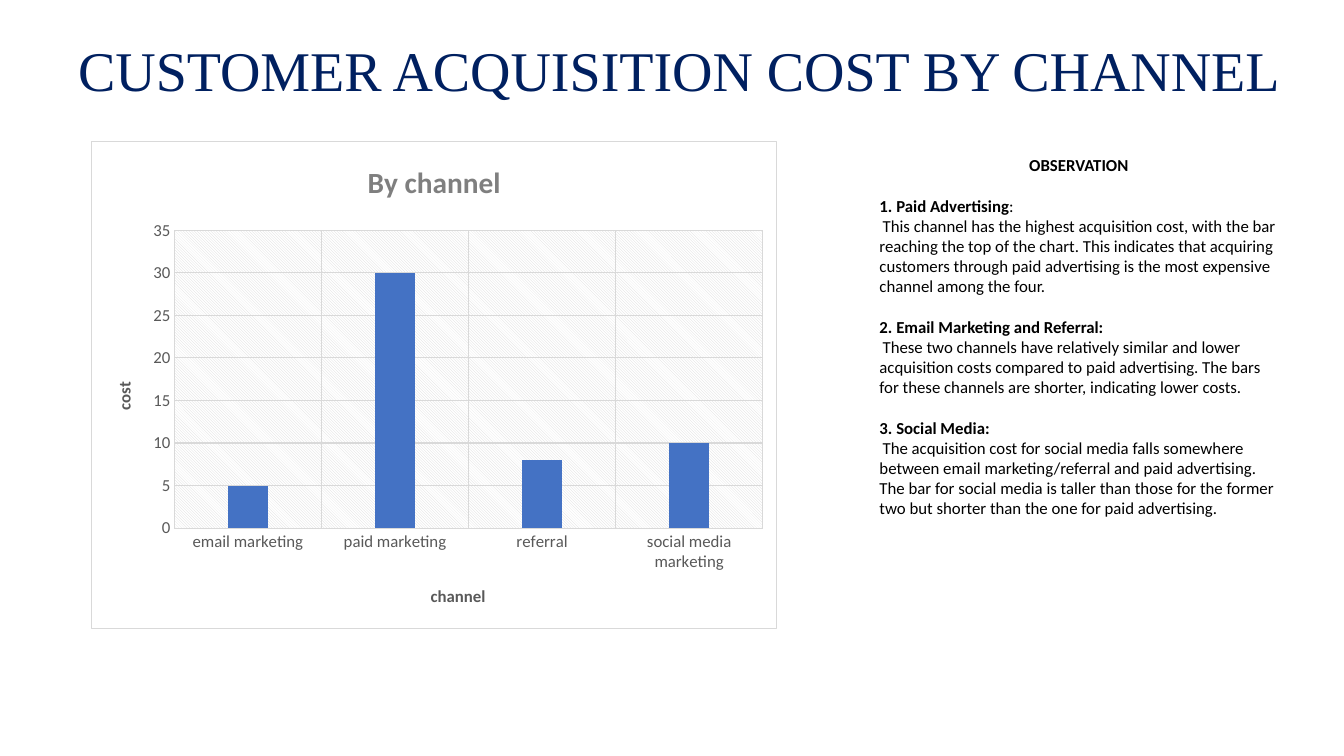
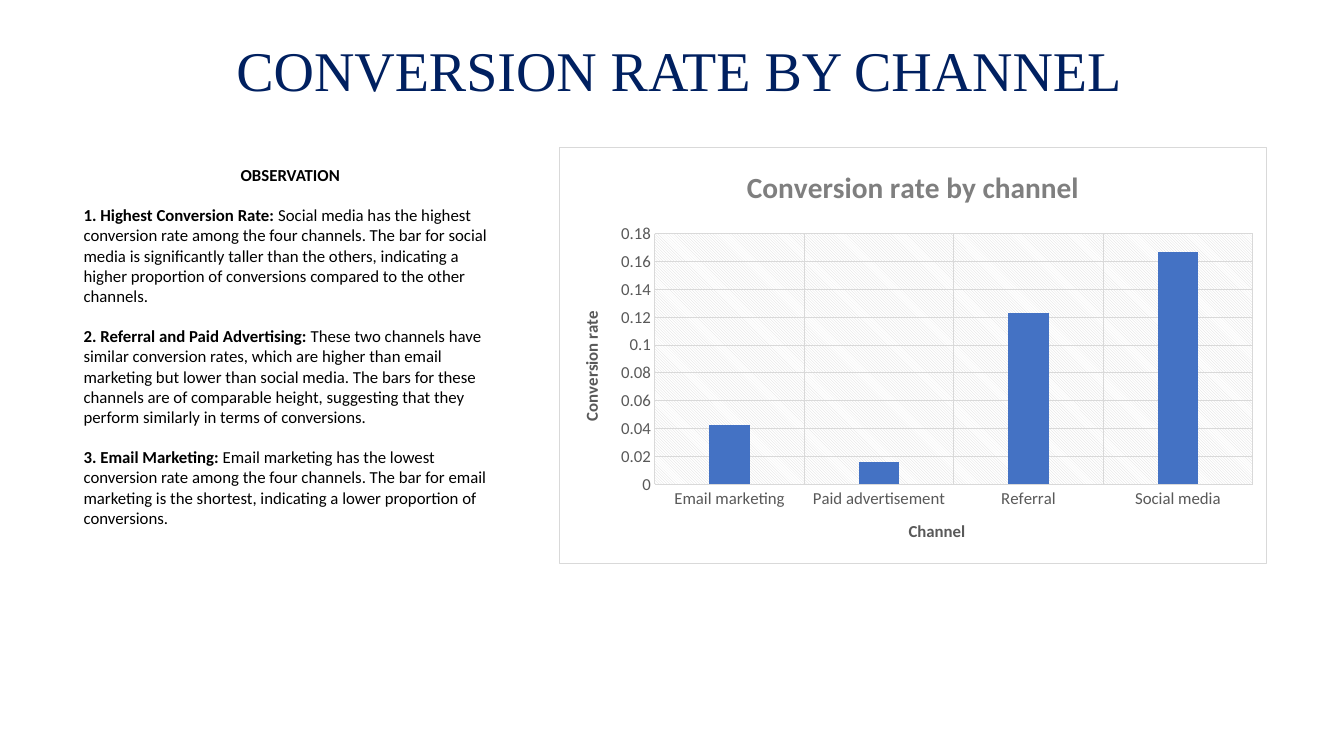
from lxml import etree
from pptx import Presentation
from pptx.chart.data import CategoryChartData
from pptx.dml.color import RGBColor
from pptx.enum.chart import XL_CHART_TYPE as ChartType, XL_TICK_MARK as TickMark
from pptx.enum.text import MSO_ANCHOR as Anchor, MSO_AUTO_SIZE as AutoSize, PP_ALIGN as Align
from pptx.oxml import parse_xml
from pptx.oxml.ns import nsdecls, qn
from pptx.util import Pt

EMU_PER_PX = 9525
NAVY, BLACK, WHITE = "002060", "000000", "FFFFFF"
GRID, LABEL, HEADING, BAR = "D9D9D9", "595959", "7F7F7F", "4472C4"
TITLE_FONT, BODY_FONT = "Times New Roman", "Calibri"
TITLE_BOX = (19, 26, 1240, 80)
TITLE_INSET = 25
BODY_SIZE = 12
FINDING_GAP = 14.4

COST_FINDINGS = [
    ("1. Paid Advertising", ":"),
    ("", "This channel has the highest acquisition cost, with the bar reaching the top of "
         "the chart. This indicates that acquiring customers through paid advertising is "
         "the most expensive channel among the four."),
    ("2. Email Marketing and Referral:", ""),
    ("", "These two channels have relatively similar and lower acquisition costs compared "
         "to paid advertising. The bars for these channels are shorter, indicating lower "
         "costs."),
    ("3. Social Media:", ""),
    ("", "The acquisition cost for social media falls somewhere between email "
         "marketing/referral and paid advertising. The bar for social media is taller than "
         "those for the former two but shorter than the one for paid advertising."),
]
RATE_FINDINGS = [
    (" Highest Conversion Rate:",
     " Social media has the highest conversion rate among the four channels. The bar for "
     "social media is significantly taller than the others, indicating a higher proportion "
     "of conversions compared to the other channels."),
    (" Referral and Paid Advertising:",
     " These two channels have similar conversion rates, which are higher than email "
     "marketing but lower than social media. The bars for these channels are of comparable "
     "height, suggesting that they perform similarly in terms of conversions."),
    (" Email Marketing:",
     " Email marketing has the lowest conversion rate among the four channels. The bar for "
     "email marketing is the shortest, indicating a lower proportion of conversions."),
]
COSTS = {"email marketing": 5, "paid marketing": 30, "referral": 8,
         "social media marketing": 10}
RATES = {"Email marketing": 0.043, "Paid advertisement": 0.016, "Referral": 0.123,
         "Social media": 0.167}


def px(length):
    """Turn pixels into EMU."""
    return length * EMU_PER_PX


def rgb(code):
    """Turn a hex string into a colour."""
    return RGBColor.from_string(code)


def place(shape, box):
    """Move and size a shape to a pixel box."""
    shape.left, shape.top, shape.width, shape.height = map(px, box)


def style_font(font, size, color, name=BODY_FONT, bold=False):
    """Set size, colour, typeface and weight of a font."""
    font.size, font.name, font.bold = Pt(size), name, bold
    font.color.rgb = rgb(color)


def add_title(slide, heading):
    """Fill the title placeholder and make it a white rounded band."""
    title = slide.shapes.title
    place(title, TITLE_BOX)
    outline = etree.SubElement(title._element.spPr, qn("a:prstGeom"), prst="roundRect")
    etree.SubElement(outline, qn("a:avLst"))
    title.fill.solid()
    title.fill.fore_color.rgb = rgb(WHITE)
    title.line.fill.background()
    frame = title.text_frame
    frame.text = heading
    frame.auto_size = AutoSize.NONE
    frame.vertical_anchor = Anchor.MIDDLE
    frame.margin_left = px(TITLE_INSET)
    frame.paragraphs[0].alignment = Align.CENTER
    style_font(frame.paragraphs[0].runs[0].font, 40, NAVY, TITLE_FONT)


def set_list_style(paragraph, numbered=False, indent=0):
    """Give a paragraph its first-line indent and automatic number or none."""
    props = paragraph._p.get_or_add_pPr()
    props.set("marL", "0")
    props.set("indent", str(px(indent)))
    if numbered:
        etree.SubElement(props, qn("a:buFont"), typeface="+mj-lt")
        etree.SubElement(props, qn("a:buAutoNum"), type="arabicPeriod")
    else:
        etree.SubElement(props, qn("a:buNone"))


def add_observation(slide, box, findings, numbered=False):
    """Fill the body placeholder with the heading and its findings."""
    body = slide.placeholders[1]
    place(body, box)
    frame = body.text_frame
    frame.word_wrap = True
    frame.auto_size = AutoSize.SHAPE_TO_FIT_TEXT
    heading = frame.paragraphs[0]
    heading.text = "OBSERVATION"
    heading.alignment = Align.CENTER
    heading.space_before = Pt(0)
    set_list_style(heading)
    style_font(heading.runs[0].font, BODY_SIZE, BLACK, bold=True)
    for lead, detail in findings:
        finding = frame.add_paragraph()
        finding.alignment = Align.LEFT
        finding.space_before = Pt(FINDING_GAP if lead else 0)
        set_list_style(finding, numbered, 0 if lead else 3)
        for part, bold in ((lead, True), (detail, False)):
            if part:
                run = finding.add_run()
                run.text = part
                style_font(run.font, BODY_SIZE, BLACK, bold=bold)


def set_heading(owner, wording, size, color):
    """Give a chart or an axis its bold title."""
    title = owner.chart_title if hasattr(owner, "chart_title") else owner.axis_title
    title.text_frame.text = wording
    style_font(title.text_frame.paragraphs[0].runs[0].font, size, color, bold=True)


def style_axis(axis, wording):
    """Format the title, labels and gridlines of an axis."""
    set_heading(axis, wording, 12, LABEL)
    axis.major_tick_mark = axis.minor_tick_mark = TickMark.NONE
    style_font(axis.tick_labels.font, 12, LABEL)
    axis.has_major_gridlines = True
    for line in (axis.major_gridlines.format.line, axis.format.line):
        line.color.rgb = rgb(GRID)
        line.width = Pt(0.75)


def area_format(fill, line):
    """Build the fill and outline of a chart area."""
    return parse_xml(f'<c:spPr {nsdecls("c", "a")}>{fill}{line}</c:spPr>')


def solid(color):
    """Write a solid fill."""
    return f'<a:solidFill><a:srgbClr val="{color}"/></a:solidFill>'


def format_areas(chart):
    """Frame the chart and hatch its plot area."""
    space = chart._chartSpace
    border = f'<a:ln w="{Pt(0.75)}">{solid(GRID)}</a:ln>'
    hatch = (f'<a:pattFill prst="ltDnDiag"><a:fgClr><a:srgbClr val="{GRID}"/></a:fgClr>'
             f'<a:bgClr><a:srgbClr val="{WHITE}"/></a:bgClr></a:pattFill>')
    space.chart.addnext(area_format(solid(WHITE), border))
    space.chart.plotArea.append(area_format(hatch, "<a:ln><a:noFill/></a:ln>"))


def add_column_chart(slide, box, heading, axis_names, values, top, step):
    """Draw one column for each channel."""
    data = CategoryChartData()
    data.categories = list(values)
    data.add_series("Series 1", list(values.values()))
    chart = slide.shapes.add_chart(ChartType.COLUMN_CLUSTERED, *map(px, box), data).chart
    style_font(chart.font, 10, BLACK)
    chart.has_legend = False
    set_heading(chart, heading, 21, HEADING)
    for axis, wording in zip((chart.category_axis, chart.value_axis), axis_names):
        style_axis(axis, wording)
    scale = chart.value_axis
    scale.format.line.fill.background()
    scale.minimum_scale, scale.maximum_scale, scale.major_unit = 0, top, step
    columns = chart.plots[0]
    columns.vary_by_categories = False
    columns.gap_width, columns.overlap = 267, -43
    bars = columns.series[0].format.fill
    bars.solid()
    bars.fore_color.rgb = rgb(BAR)
    format_areas(chart)


def main():
    """Build and save both slides."""
    deck = Presentation()
    deck.slide_width, deck.slide_height = px(1280), px(720)
    layout = deck.slide_layouts[1]

    cost = deck.slides.add_slide(layout)
    add_title(cost, "CUSTOMER ACQUISITION COST BY CHANNEL")
    add_observation(cost, (828, 143, 399, 359), COST_FINDINGS)
    add_column_chart(cost, (87, 134, 653, 465), "By channel", ("channel", "cost"),
                     COSTS, 35, 5)

    rate = deck.slides.add_slide(layout)
    add_title(rate, "CONVERSION RATE BY CHANNEL")
    add_observation(rate, (70, 152, 413, 359), RATE_FINDINGS, numbered=True)
    add_column_chart(rate, (532, 140, 675, 397), "Conversion rate by channel",
                     ("Channel", "Conversion rate"), RATES, 0.18, 0.02)

    deck.save("out.pptx")


if __name__ == "__main__":
    main()
